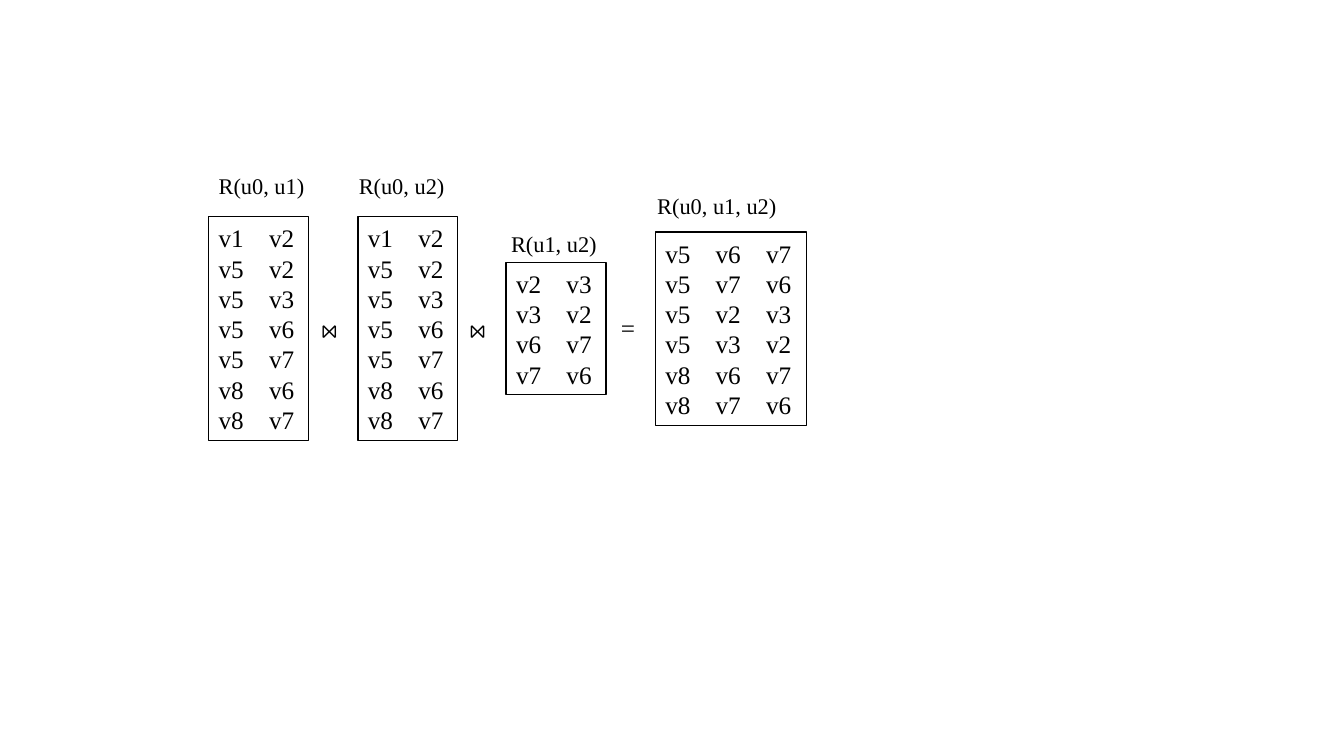
from dataclasses import dataclass

from lxml import etree
from pptx import Presentation
from pptx.dml.color import RGBColor
from pptx.enum.shapes import MSO_SHAPE
from pptx.enum.text import MSO_ANCHOR, MSO_AUTO_SIZE, PP_ALIGN
from pptx.oxml.ns import qn
from pptx.util import Inches, Pt

RECT = MSO_SHAPE.RECTANGLE
MIDDLE, TOP = MSO_ANCHOR.MIDDLE, MSO_ANCHOR.TOP
LEFT = PP_ALIGN.LEFT
GROW = MSO_AUTO_SIZE.SHAPE_TO_FIT_TEXT
COLORS = {"ink": "000000", "paper": "FFFFFF"}
FONT = "Times New Roman"
AXIS = 3.26  # shared vertical centre of the relations
ROW, PAD = 0.303, 0.1
PITCH = 0.5  # distance between value columns


@dataclass
class Relation:
    left: float
    width: float
    rows: list[str]


@dataclass
class Label:
    text: str
    left: float
    top: float
    width: float
    height: float = 0.37
    size: int = 16
    wrap: bool = True


EDGES = ["v1 v2", "v5 v2", "v5 v3", "v5 v6", "v5 v7", "v8 v6", "v8 v7"]
RELATIONS = [
    Relation(2.07, 0.99, EDGES),
    Relation(3.55, 0.99, EDGES),
    Relation(5.02, 0.99, ["v2 v3", "v3 v2", "v6 v7", "v7 v6"]),
    Relation(6.5, 1.5, ["v5 v6 v7", "v5 v7 v6", "v5 v2 v3",
                        "v5 v3 v2", "v8 v6 v7", "v8 v7 v6"]),
]
LABELS = [
    Label("R(u0, u1)", 2.07, 1.66, 1.15),
    Label("R(u0, u2)", 3.46, 1.66, 1.15),
    Label("R(u1, u2)", 4.97, 2.23, 1.15),
    Label("R(u0, u1, u2)", 6.42, 1.86, 1.59),
    Label("⋈", 3.09, 3.06, 0.41, 0.4, 18, False),
    Label("⋈", 4.56, 3.06, 0.41, 0.4, 18, False),
    Label("=", 6.06, 3.05, 0.34, 0.4, 18, False),
]


def color(name: str) -> RGBColor:
    return RGBColor.from_string(COLORS[name])


def write(frame, lines: list[str], size: int, form: dict) -> None:
    """Fill a text frame with one paragraph per line."""
    for key, value in form.items():
        setattr(frame, key, value)
    frame.text = "\n".join(lines)
    for para in frame.paragraphs:
        para.alignment = LEFT
        for run in para.runs:
            for key, value in {"name": FONT, "size": Pt(size)}.items():
                setattr(run.font, key, value)
            run.font.color.rgb = color("ink")


def add_tabs(para, count: int) -> None:
    stops = etree.SubElement(para._p.get_or_add_pPr(), qn("a:tabLst"))
    for i in range(1, count + 1):
        etree.SubElement(stops, qn("a:tab"), pos=str(Inches(i * PITCH)), algn="l")


def draw_relation(slide, rel: Relation) -> None:
    height = round(PAD + ROW * len(rel.rows), 2)
    box = slide.shapes.add_shape(RECT, Inches(rel.left), Inches(AXIS - height / 2),
                                 Inches(rel.width), Inches(height))
    box.shadow.inherit = False
    box.fill.solid()
    box.fill.fore_color.rgb = color("paper")
    box.line.color.rgb = color("ink")
    box.line.width = Pt(1)
    lines = [row.replace(" ", "\t") for row in rel.rows]
    write(box.text_frame, lines, 18,
          {"word_wrap": True, "auto_size": GROW, "vertical_anchor": MIDDLE})
    for para in box.text_frame.paragraphs:
        add_tabs(para, rel.rows[0].count(" "))


def draw_label(slide, label: Label) -> None:
    box = slide.shapes.add_textbox(Inches(label.left), Inches(label.top),
                                   Inches(label.width), Inches(label.height))
    write(box.text_frame, [label.text], label.size,
          {"word_wrap": label.wrap, "auto_size": GROW, "vertical_anchor": TOP})


def main() -> None:
    deck = Presentation()
    deck.slide_width, deck.slide_height = Inches(13.33), Inches(7.5)
    slide = deck.slides.add_slide(deck.slide_layouts[6])
    for rel in RELATIONS:
        draw_relation(slide, rel)
    for label in LABELS:
        draw_label(slide, label)
    deck.save("out.pptx")


if __name__ == "__main__":
    main()
